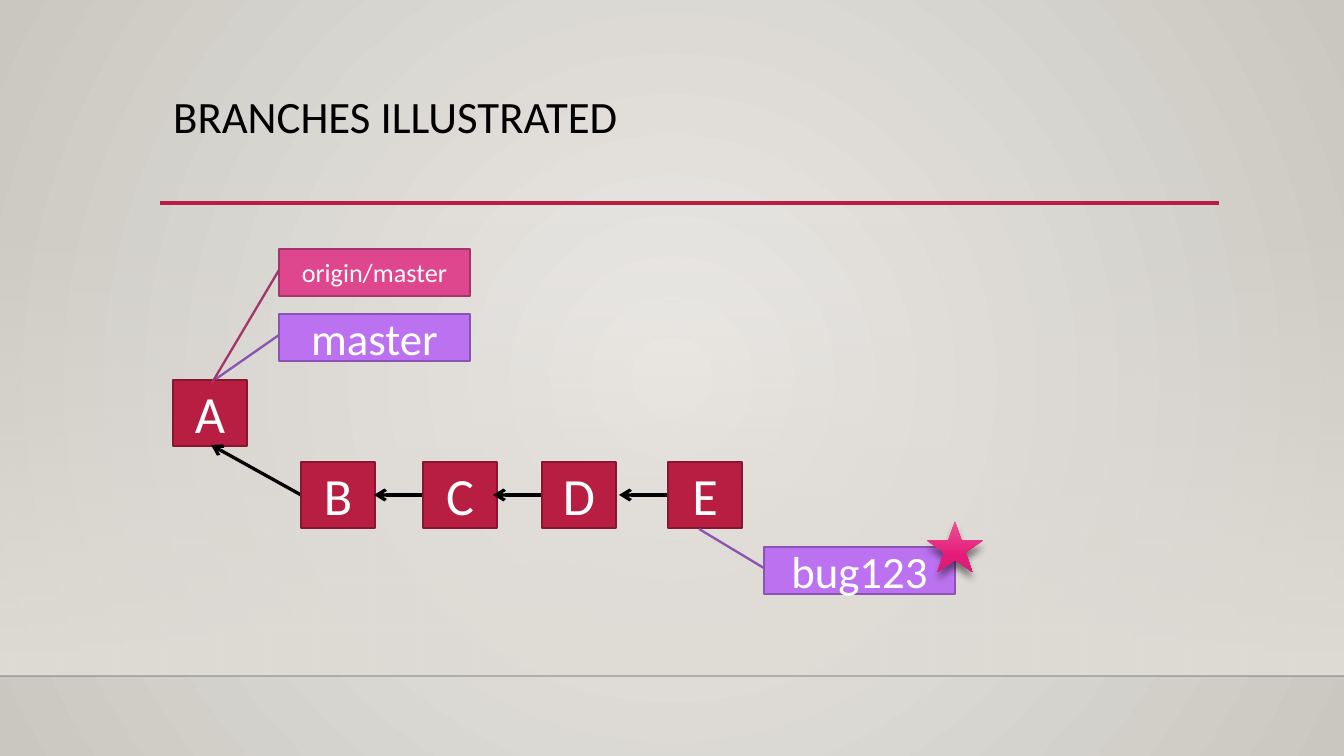
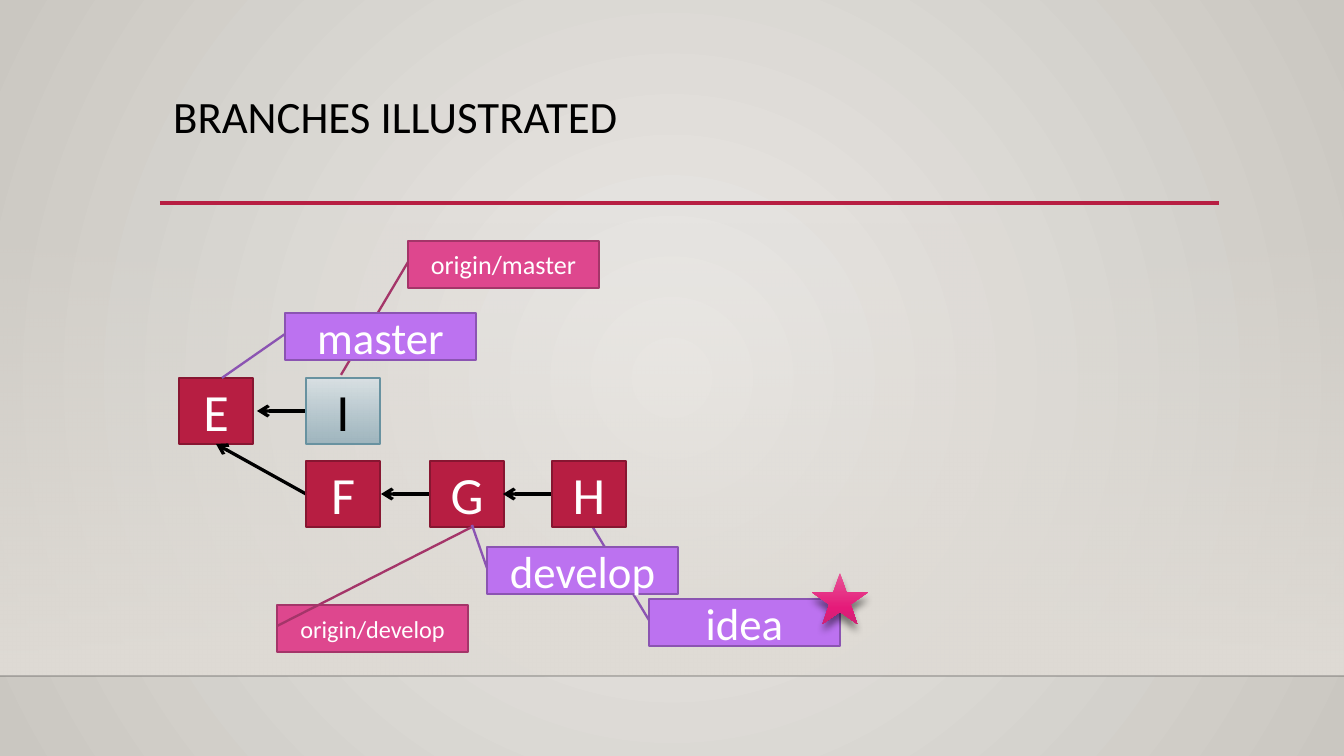
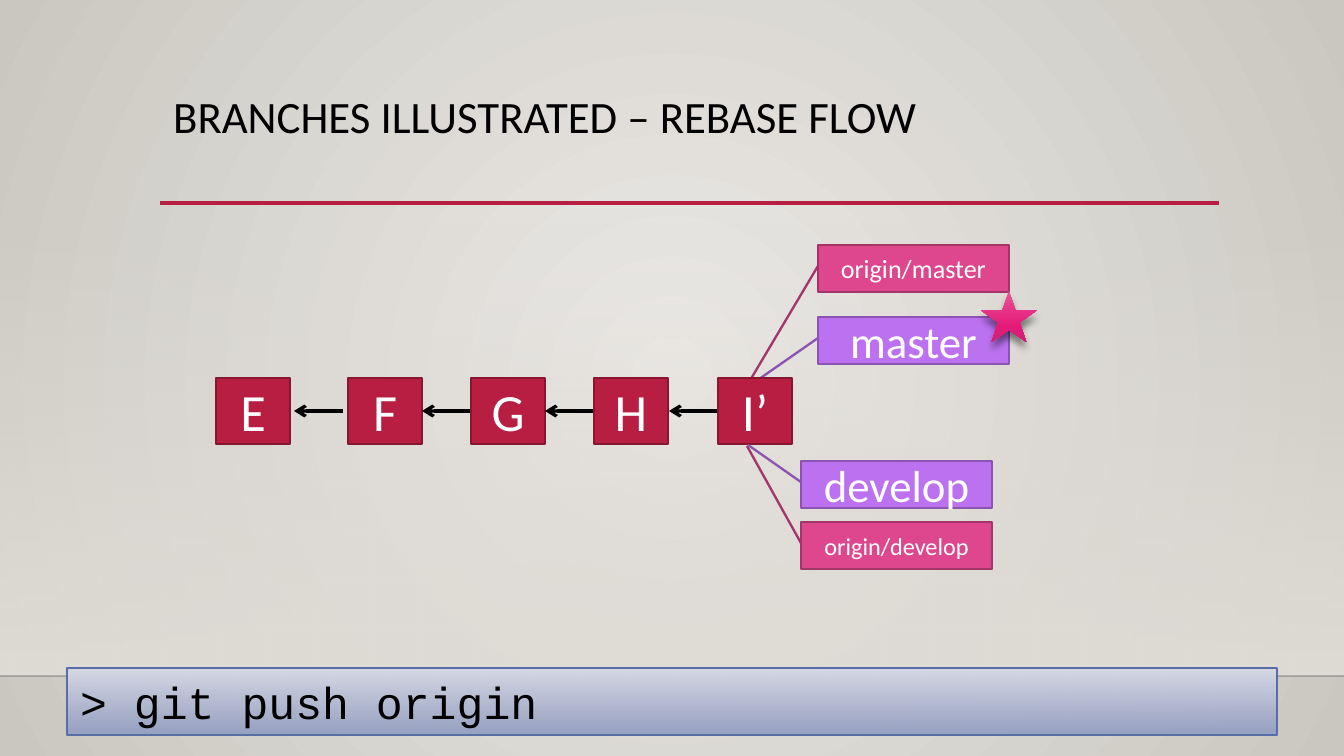
from lxml.etree import SubElement
from pptx import Presentation
from pptx.dml.color import RGBColor
from pptx.enum.shapes import MSO_CONNECTOR, MSO_SHAPE
from pptx.enum.text import MSO_ANCHOR, PP_ALIGN
from pptx.oxml.ns import qn
from pptx.util import Pt

PX = 914400 * 10 / 1344
WIDTH, HEIGHT = 1344, 756
BODY_FONT, CODE_FONT = "Calibri", "Courier New"

COLORS = {
    "black": "000000", "white": "FFFFFF", "floor": "000001",
    "red": "B71E42", "red_edge": "871631",
    "local": "BC72F0", "local_edge": "8B54B2",
    "remote": "DE478E", "remote_edge": "A43569",
    "new_edge": "6892A0", "command_edge": "586EA6",
}
# Each stop: position %, colour and, where needed, opacity %.
GRADIENTS = {
    "page": [(0, "ECEAE7"), (100, "CAC7C1")],
    "wall": [(0, "DFDBD5", 0), (100, "DFDBD5")],
    "star": [(0, "E75597"), (69, "E51A79"), (100, "CF2374")],
    "new": [(0, "D9E1E4"), (100, "9AB2BC", 92)],
    "command": [(0, "D6D9E5"), (100, "929DC0", 92)],
}

COMMIT_W, COMMIT_H = 74, 66
TAG_W, TAG_H = 191, 47
STAR_W, STAR_H = 56, 51
STEP = (-49, 0)
BEND = (-90, -50)


def emu(*lengths):
    return [round(length * PX) for length in lengths]


def rgb(name):
    return RGBColor.from_string(COLORS[name])


def set_alpha(color, percent):
    SubElement(color, qn("a:alpha"), val=str(percent * 1000))


def paint_gradient(fill, owner, name, radial=False):
    """Give the fill of the owner element a vertical or radial gradient."""
    fill.gradient()
    gradient = next(owner.iter(qn("a:gradFill")))
    for child in list(gradient):
        gradient.remove(child)
    stops = SubElement(gradient, qn("a:gsLst"))
    for position, value, *alpha in GRADIENTS[name]:
        stop = SubElement(stops, qn("a:gs"), pos=str(position * 1000))
        color = SubElement(stop, qn("a:srgbClr"), val=value)
        if alpha:
            set_alpha(color, alpha[0])
    if radial:
        circle = SubElement(gradient, qn("a:path"), path="circle")
        SubElement(circle, qn("a:fillToRect"), l="50000", t="50000", r="50000", b="50000")
    else:
        SubElement(gradient, qn("a:lin"), ang="5400000", scaled="0")


def add_block(slide, kind, box, fill, edge=None, edge_pt=1.25):
    block = slide.shapes.add_shape(kind, *emu(*box))
    block.shadow.inherit = False
    if fill in GRADIENTS:
        paint_gradient(block.fill, block.element, fill)
    else:
        block.fill.solid()
        block.fill.fore_color.rgb = rgb(fill)
    if edge:
        block.line.color.rgb = rgb(edge)
        block.line.width = Pt(edge_pt)
    else:
        block.line.fill.background()
    return block


def write(shape, text, size, color="white", font=BODY_FONT,
          align=PP_ALIGN.CENTER, anchor=MSO_ANCHOR.MIDDLE):
    frame = shape.text_frame
    frame.word_wrap = True
    frame.vertical_anchor = anchor
    frame.text = text
    paragraph = frame.paragraphs[0]
    paragraph.alignment = align
    for run in paragraph.runs:
        run.font.name, run.font.size = font, Pt(size)
        run.font.color.rgb = rgb(color)
    return paragraph


def add_line(slide, start, end, color, width, arrow=False, alpha=None):
    line = slide.shapes.add_connector(MSO_CONNECTOR.STRAIGHT, *emu(*start, *end))
    line.line.color.rgb = rgb(color)
    line.line.width = Pt(width)
    outline = next(line.element.iter(qn("a:ln")))
    if alpha is not None:
        set_alpha(next(outline.iter(qn("a:srgbClr"))), alpha)
    if arrow:
        SubElement(outline, qn("a:tailEnd"), type="arrow")
    SubElement(line.element.spPr, qn("a:effectLst"))


def add_link(slide, start, vector):
    """Point an arrow from a commit to its parent."""
    x, y = start
    dx, dy = vector
    add_line(slide, start, (x + dx, y + dy), "black", 1.75, arrow=True)


def add_commit(slide, label, x, y, vector=None, new=False):
    if vector:
        add_link(slide, (x, y + COMMIT_H // 2), vector)
    look = ("new", "new_edge", 0.75) if new else ("red", "red_edge")
    commit = add_block(slide, MSO_SHAPE.RECTANGLE, (x, y, COMMIT_W, COMMIT_H), *look)
    write(commit, label, 28, "black" if new else "white")


def add_tag(slide, branch, x, y, target):
    """Label a commit with a branch; the callout line ends at target."""
    remote = branch.startswith("origin/")
    kind = "remote" if remote else "local"
    tag = add_block(slide, MSO_SHAPE.LINE_CALLOUT_1, (x, y, TAG_W, TAG_H), kind, kind + "_edge")
    target_x, target_y = target
    ends = (0.45, 0, (target_y - y) / TAG_H, (target_x - x) / TAG_W)
    for index, value in enumerate(ends):
        tag.adjustments[index] = value
    size = 24
    if remote:
        size = 13 if branch.endswith("develop") else 14
    write(tag, branch, size)


def add_star(slide, tag_x, tag_y):
    """Mark the checked-out branch on the top right corner of its tag."""
    box = (tag_x + TAG_W - STAR_W // 2, tag_y - 1 - STAR_H // 2, STAR_W, STAR_H)
    star = add_block(slide, MSO_SHAPE.STAR_5_POINT, box, "star")
    effects = star.element.spPr.find(qn("a:effectLst"))
    shadow = SubElement(effects, qn("a:outerShdw"), blurRad=str(Pt(4)), dist=str(Pt(4)),
                        dir="5400000", rotWithShape="0")
    set_alpha(SubElement(shadow, qn("a:srgbClr"), val=COLORS["black"]), 48)


def add_command(slide, command):
    bar = add_block(slide, MSO_SHAPE.RECTANGLE, (67, 668, 1210, 67),
                    "command", "command_edge", 0.75)
    write(bar, command, 24, "black", CODE_FONT, PP_ALIGN.LEFT, MSO_ANCHOR.TOP)


def new_slide(prs, title):
    slide = prs.slides.add_slide(prs.slide_layouts[6])
    paint_gradient(slide.background.fill, slide.element, "page", radial=True)
    add_block(slide, MSO_SHAPE.RECTANGLE, (0, 223, WIDTH, 453), "wall")
    add_line(slide, (0, 676), (WIDTH, 676), "floor", 1, alpha=20)
    add_line(slide, (160, 203), (1219, 203), "red", 2.5)
    heading = slide.shapes.add_textbox(*emu(160, 88, 1059, 116))
    line = write(heading, title, 24, "black", align=PP_ALIGN.LEFT, anchor=MSO_ANCHOR.TOP)
    line.line_spacing = 0.9
    return slide


def draw_bug_branch(prs):
    slide = new_slide(prs, "BRANCHES ILLUSTRATED")
    add_commit(slide, "A", 173, 380)
    add_tag(slide, "master", 279, 314, (216, 379))
    add_tag(slide, "origin/master", 279, 249, (212, 383))
    for label, x, vector in (("B", 301, BEND), ("C", 423, STEP), ("D", 542, STEP), ("E", 668, STEP)):
        add_commit(slide, label, x, 462, vector)
    add_tag(slide, "bug123", 764, 547, (699, 529))
    add_star(slide, 764, 547)


def draw_idea_branch(prs):
    slide = new_slide(prs, "BRANCHES ILLUSTRATED")
    add_tag(slide, "origin/master", 408, 241, (341, 375))
    add_tag(slide, "idea", 649, 599, (583, 511))
    add_commit(slide, "E", 179, 378)
    add_commit(slide, "I", 306, 378, STEP, new=True)
    for label, x, vector in (("F", 306, BEND), ("G", 430, STEP), ("H", 552, STEP)):
        add_commit(slide, label, x, 461, vector)
    add_tag(slide, "origin/develop", 277, 605, (474, 526))
    add_tag(slide, "master", 285, 313, (222, 378))
    add_tag(slide, "develop", 487, 547, (472, 525))
    add_star(slide, 649, 599)


def draw_rebase(prs):
    slide = new_slide(prs, "BRANCHES ILLUSTRATED – REBASE FLOW")
    add_tag(slide, "origin/master", 818, 245, (751, 379))
    add_tag(slide, "master", 818, 317, (755, 382))
    add_tag(slide, "origin/develop", 801, 522, (747, 446))
    add_commit(slide, "E", 216, 378)
    add_link(slide, (343, 411), STEP)
    add_commit(slide, "F", 348, 378)
    for label, x in (("G", 471), ("H", 594), ("I’", 718)):
        add_commit(slide, label, x, 378, STEP)
    add_tag(slide, "develop", 801, 461, (748, 445))
    add_command(slide, "> git push origin")
    add_star(slide, 818, 317)


def main():
    prs = Presentation()
    prs.slide_width, prs.slide_height = emu(WIDTH, HEIGHT)
    draw_bug_branch(prs)
    draw_idea_branch(prs)
    draw_rebase(prs)
    prs.save("out.pptx")


if __name__ == "__main__":
    main()
